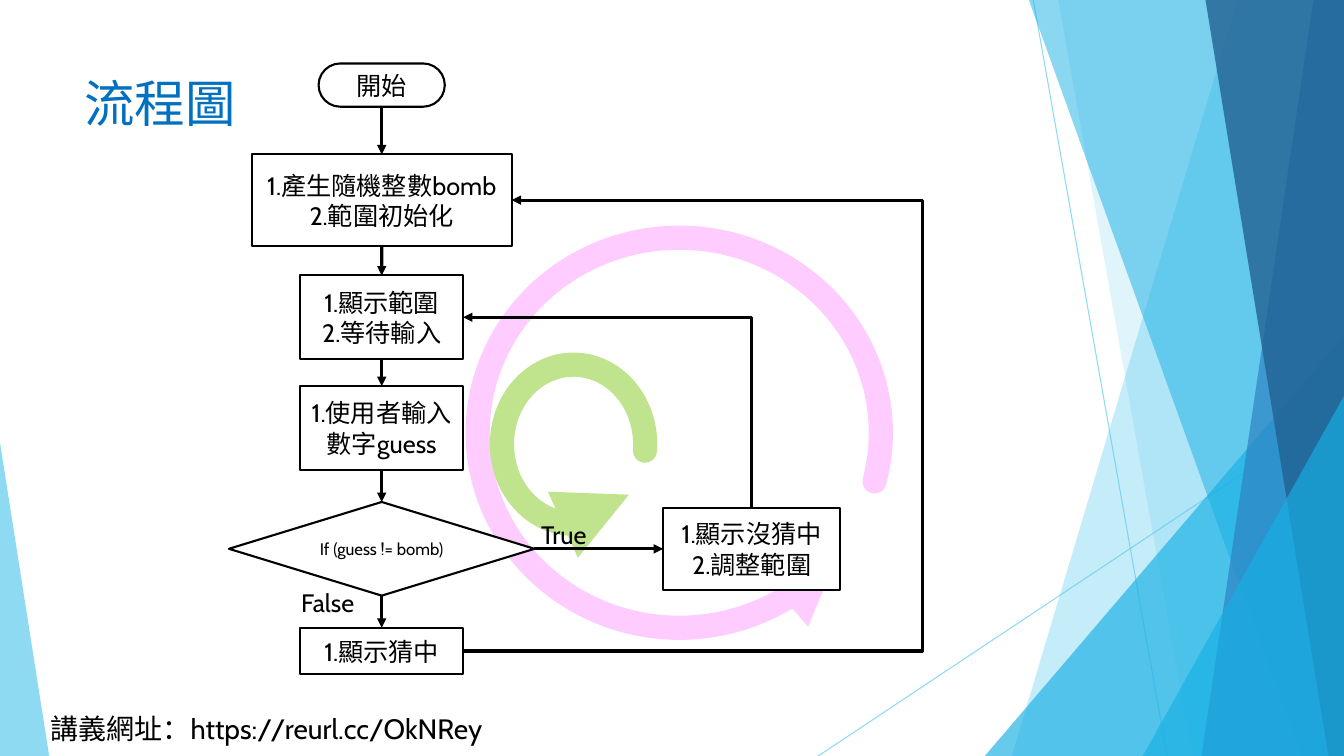
from collections import namedtuple

from pptx import Presentation
from pptx.dml.color import RGBColor
from pptx.enum.shapes import MSO_CONNECTOR, MSO_SHAPE
from pptx.enum.text import MSO_ANCHOR, PP_ALIGN
from pptx.oxml.ns import qn
from pptx.util import Cm, Pt
from lxml.etree import SubElement

Box = namedtuple("Box", "left top width height")


def color(value):
    """Turn a hex string into a colour."""
    return RGBColor.from_string(value)


def place(box, left, top, width, height):
    """Return the lengths of an area given relative to a box."""
    return Cm(box.left + left), Cm(box.top + top), Cm(width), Cm(height)


def set_alpha(element, percent):
    """Set the opacity of the colour inside an element."""
    tint = next(element.iter(qn("a:srgbClr")))
    SubElement(tint, qn("a:alpha")).set("val", str(percent * 1000))


def fill_plain(shape, value, percent=100):
    """Give a shape a flat fill without outline or shadow."""
    shape.shadow.inherit = False
    shape.line.fill.background()
    shape.fill.solid()
    shape.fill.fore_color.rgb = color(value)
    set_alpha(shape.fill._xPr.find(qn("a:solidFill")), percent)


def set_line(shape, value, points):
    """Set the line of a shape or connector and return its element."""
    shape.line.color.rgb = color(value)
    shape.line.width = Pt(points)
    return shape.line._get_or_add_ln()


def write(frame, lines, size, value="000000", align=PP_ALIGN.LEFT):
    """Write one paragraph per line into a text frame."""
    for index, line in enumerate(lines):
        para = frame.add_paragraph() if index else frame.paragraphs[0]
        para.text = line
        para.alignment = align
        para.font.name = "Cabin"
        para.font.size = Pt(size)
        para.font.color.rgb = color(value)


def add_label(page, area, text, size, value="000000", wrap=False):
    """Add a text box with a single line."""
    frame = page.shapes.add_textbox(*area).text_frame
    frame.word_wrap = wrap
    write(frame, [text], size, value)


def add_connector(page, kind, begin, end, value="000000", points=2.25, arrow=True):
    """Add a connector without shadow, with an arrowhead if wanted."""
    connector = page.shapes.add_connector(kind, *begin, *end)
    line = set_line(connector, value, points)
    if arrow:
        SubElement(line, qn("a:tailEnd")).set("type", "triangle")
    SubElement(connector._element.spPr, qn("a:effectLst"))
    return connector


def draw_backdrop(page, box):
    """Draw the translucent facets around the slide."""
    right, bottom = box.left + box.width, box.top + box.height

    def ray(start, end):
        begin, finish = [(Cm(box.left + x), Cm(box.top + y)) for x, y in (start, end)]
        connector = add_connector(page, MSO_CONNECTOR.STRAIGHT, begin, finish,
                                  "5FCBEF", 0.75, False)
        set_alpha(connector.line._get_or_add_ln(), 70)

    def facet(upper, lower, value, percent):
        builder = page.shapes.build_freeform(Cm(box.left + upper), Cm(box.top))
        corners = [(right, box.top), (right, bottom), (box.left + lower, bottom)]
        builder.add_line_segments([(Cm(x), Cm(y)) for x, y in corners])
        fill_plain(builder.convert_to_shape(), value, percent)

    def wedge(left, top, width, peak, value, percent):
        area = place(box, left, top, width, box.height - top)
        shape = page.shapes.add_shape(MSO_SHAPE.ISOSCELES_TRIANGLE, *area)
        shape.adjustments[0] = peak
        fill_plain(shape, value, percent)

    ray((26.04, 0), (29.41, box.height))
    ray((box.width, 10.24), (20.62, box.height))
    facet(31.19, 25.5, "5FCBEF", 36)
    facet(26.67, 30.05, "5FCBEF", 20)
    wedge(24.82, 8.46, 9.05, 1, "17B0E4", 66)
    facet(25.93, 32.79, "17B0E4", 50)
    facet(33.1, 30.28, "2E83C3", 70)
    facet(30.38, 33.48, "226292", 80)
    wedge(28.8, 9.98, 5.07, 1, "17B0E4", 66)
    wedge(0, 11.15, 1.24, 0, "5FCBEF", 70)


def draw_loops(page, box):
    """Draw the two round arrows behind the flowchart."""
    loops = [
        ((6.27, 4.39, 10.16, 9.83), (21.99, 8.4), "FFCCFF"),
        ((6.88, 7.59, 3.61, 4.01), (25.41, 3.12), "C0E38D"),
    ]
    for area, angles, value in loops:
        arc = page.shapes.add_shape(MSO_SHAPE.ARC, *place(box, *area))
        arc.adjustments[0], arc.adjustments[1] = angles
        arc.shadow.inherit = False
        arc.fill.background()
        line = set_line(arc, value, 17.25)
        line.set("cap", "rnd")
        SubElement(line, qn("a:headEnd")).set("type", "triangle")


def add_step(page, kind, area, lines, size=18):
    """Add one outlined step of the flowchart."""
    step = page.shapes.add_shape(kind, *area)
    step.shadow.inherit = False
    step.fill.solid()
    step.fill.fore_color.rgb = color("FFFFFF")
    set_line(step, "000000", 1.5)
    step.text_frame.word_wrap = True
    step.text_frame.vertical_anchor = MSO_ANCHOR.MIDDLE
    write(step.text_frame, lines, size, align=PP_ALIGN.CENTER)
    return step


def join(page, source, source_side, target, target_side):
    """Join two steps with a straight arrow."""
    arrow = add_connector(page, MSO_CONNECTOR.STRAIGHT, (0, 0), (0, 0))
    arrow.begin_connect(source, source_side)
    arrow.end_connect(target, target_side)


def add_retry_route(page, source, target):
    """Lead from the top of a step up and left to the side of another."""
    x1, y1 = source.left + source.width // 2, source.top
    x2, y2 = target.left + target.width, target.top + target.height // 2
    middle_x, middle_y = (x1 + x2) // 2, (y1 + y2) // 2
    run, rise = (x1 - x2) // 2, (y1 - y2) // 2
    route = add_connector(page, MSO_CONNECTOR.ELBOW,
                          (middle_x - rise, middle_y + run),
                          (middle_x + rise, middle_y - run))
    properties = route._element.spPr
    properties.find(qn("a:xfrm")).set("rot", "16200000")
    properties.find(qn("a:prstGeom")).set("prst", "bentConnector2")


def add_restart_route(page, source, target, edge):
    """Lead from the side of a step around an edge back to another."""
    x1, y1 = source.left + source.width, source.top + source.height // 2
    x2, y2 = target.left + target.width, target.top + target.height // 2
    route = add_connector(page, MSO_CONNECTOR.ELBOW, (x1, y1), (x2, y2))
    bend = round((edge - x1) / (x2 - x1) * 100000)
    guides = route._element.spPr.find(qn("a:prstGeom")).get_or_add_avLst()
    guide = SubElement(guides, qn("a:gd"))
    guide.set("name", "adj1")
    guide.set("fmla", f"val {bend}")


def draw_flow(page, box):
    """Draw the steps, arrows and branch labels of the flowchart."""
    center = 3.85
    column = [
        (MSO_SHAPE.ROUNDED_RECTANGLE, 0, 3.18, 1.09, ["開始"], 18),
        (MSO_SHAPE.RECTANGLE, 2.29, 6.55, 2.31, ["1.產生隨機整數bomb", "2.範圍初始化"], 18),
        (MSO_SHAPE.RECTANGLE, 5.34, 4.1, 2.11, ["1.顯示範圍", "2.等待輸入"], 18),
        (MSO_SHAPE.RECTANGLE, 8.13, 4.1, 2.11, ["1.使用者輸入數字guess"], 18),
        (MSO_SHAPE.DIAMOND, 11.05, 7.7, 2.36, ["If (guess != bomb)"], 12),
        (MSO_SHAPE.RECTANGLE, 14.22, 4.1, 1.17, ["1.顯示猜中"], 18),
    ]
    steps = [
        add_step(page, kind, place(box, center - width / 2, top, width, height), lines, size)
        for kind, top, width, height, lines, size in column
    ]
    start, setup, ask, guess, check, hit = steps
    start.adjustments[0] = 0.5
    miss = add_step(page, MSO_SHAPE.RECTANGLE, place(box, 10.94, 11.2, 4.47, 2.06),
                    ["1.顯示沒猜中", "2.調整範圍"])
    for upper, lower in zip(steps, steps[1:]):
        join(page, upper, 2, lower, 0)
    join(page, check, 3, miss, 1)
    add_retry_route(page, miss, ask)
    add_restart_route(page, hit, setup, Cm(box.left + box.width))
    add_label(page, place(box, 7.62, 11.35, 1.78, 1.02), "True", 18)
    add_label(page, place(box, 1.57, 13.08, 1.98, 1.02), "False", 18)


def main():
    """Build the slide and save the deck."""
    deck = Presentation()
    deck.slide_width, deck.slide_height = Cm(33.87), Cm(19.05)
    page = deck.slides.add_slide(deck.slide_layouts[6])
    slide, flow = Box(0, 0, 33.87, 19.05), Box(5.77, 1.6, 17.47, 15.39)
    draw_backdrop(page, slide)
    add_label(page, place(slide, 1.02, 17.81, 12.01, 1.12),
              "講義網址：https://reurl.cc/OkNRey", 20)
    draw_loops(page, flow)
    add_label(page, place(slide, 1.88, 1.7, 23.88, 3.66), "流程圖", 36, "0070C0", True)
    draw_flow(page, flow)
    deck.save("out.pptx")


if __name__ == "__main__":
    main()
